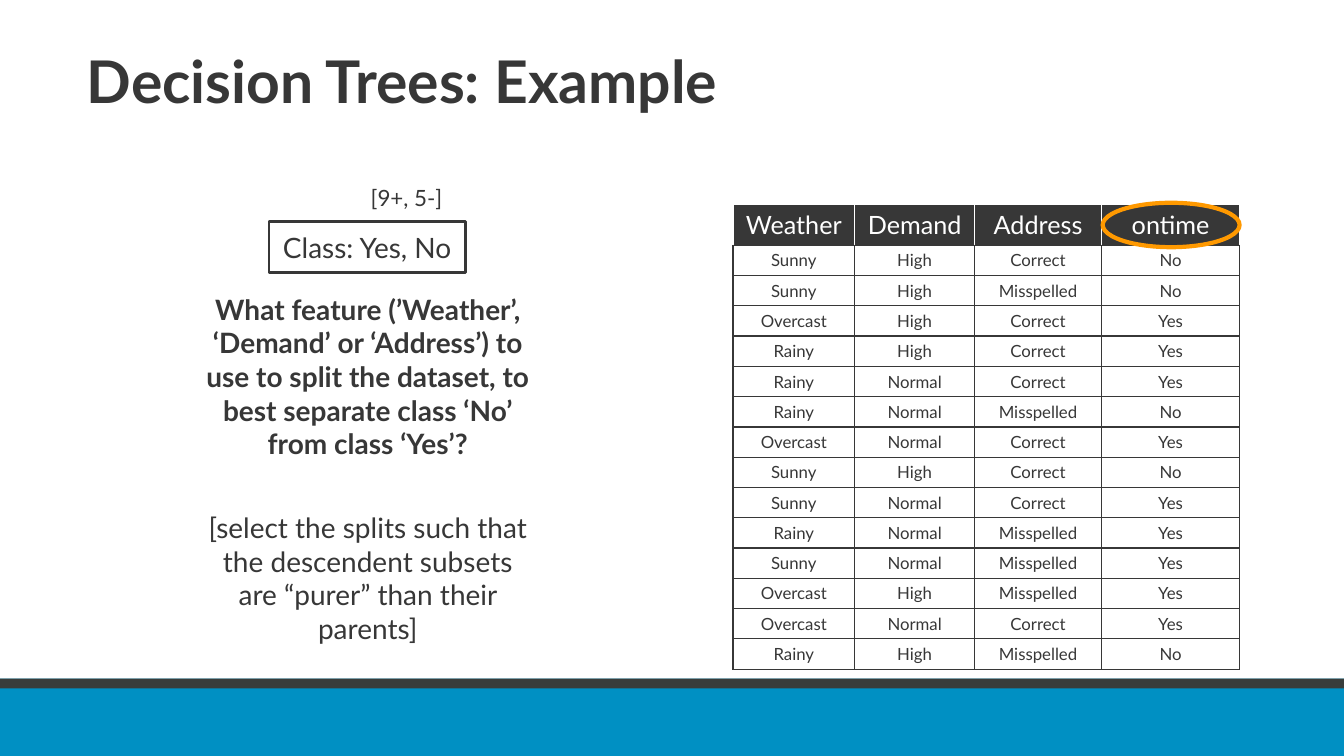
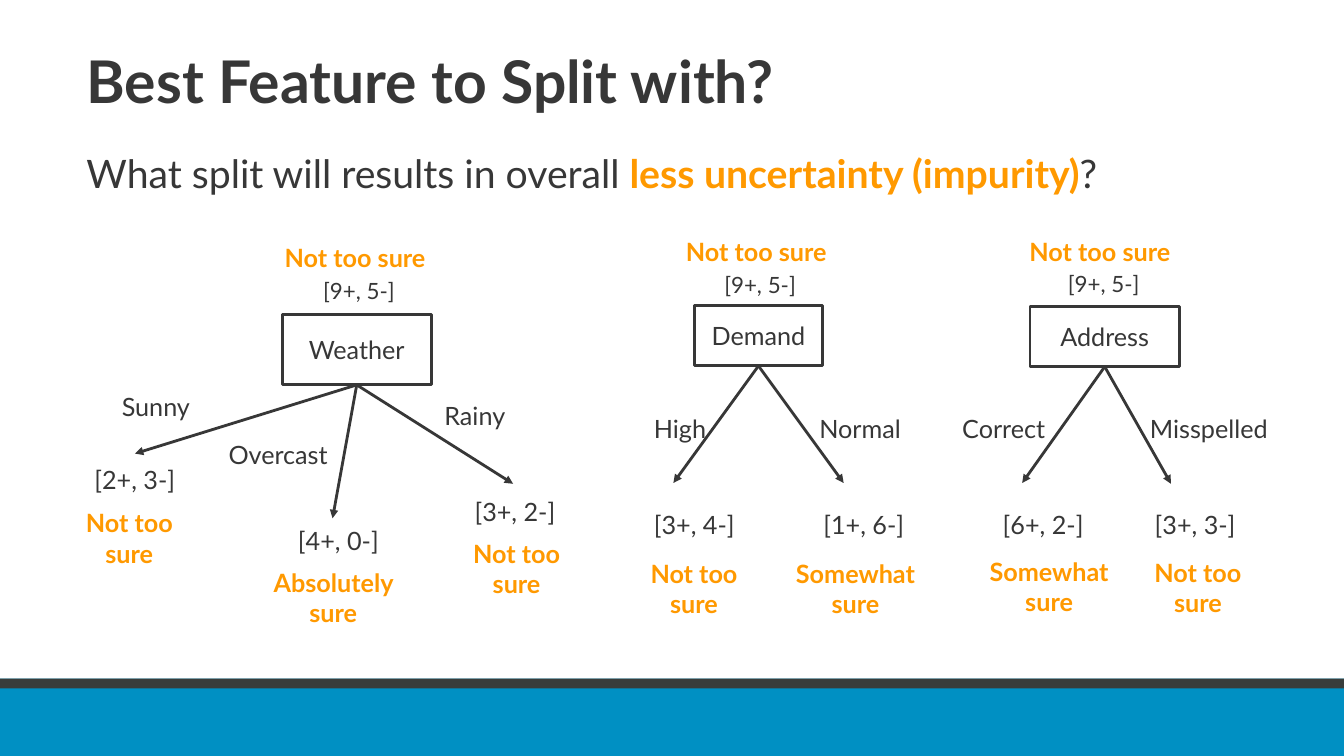
from dataclasses import dataclass

from lxml.etree import SubElement
from pptx import Presentation
from pptx.dml.color import RGBColor
from pptx.enum.shapes import MSO_CONNECTOR as Wire, MSO_SHAPE as Form
from pptx.enum.text import MSO_ANCHOR as Anchor, PP_ALIGN as Align
from pptx.oxml import parse_xml
from pptx.oxml.ns import nsdecls, qn
from pptx.util import Cm, Pt

INK, WHITE, GOLD, BLUE, SLATE = "373737", "FFFFFF", "FF9900", "0090C3", "383D3B"
PLAIN = {"name": "Lato", "size": Pt(18), "bold": False}
BOLD = {**PLAIN, "bold": True}
HEAD = {**BOLD, "size": Pt(42)}
LEAD = {**PLAIN, "size": Pt(28)}
BODY = {**PLAIN, "size": Pt(20)}
NOTE = {**PLAIN, "size": Pt(16)}
CELL = {**PLAIN, "size": Pt(12)}
WIDE, TALL = 33.87, 19.05
ROOT = "[9+, 5-]"
MOODS = {"Not too sure": 3.48, "Somewhat sure": 3.86, "Absolutely sure": 3.94}
COLS = {"Weather": 3.07, "Demand": 3.02, "Address": 3.2, "ontime": 3.48}
ROWS = """Sunny High Correct No
Sunny High Misspelled No
Overcast High Correct Yes
Rainy High Correct Yes
Rainy Normal Correct Yes
Rainy Normal Misspelled No
Overcast Normal Correct Yes
Sunny High Correct No
Sunny Normal Correct Yes
Rainy Normal Misspelled Yes
Sunny Normal Misspelled Yes
Overcast High Misspelled Yes
Overcast Normal Correct Yes
Rainy High Misspelled No"""


@dataclass
class Leaf:
    """One branch of a tree: its label, arrow tip, count and mood."""
    label: str
    at: tuple
    tip: tuple
    count: str
    spot: tuple
    mood: str
    under: tuple


TREES = [
    ("Weather", (7.11, 7.92, 3.76, 1.78), (6.6, 5.99), [
        Leaf("Sunny", (2.82, 9.73, 2.39), (3.4, 11.43), "[2+, 3-]", (2.13, 11.58),
             "Not too sure", (1.52, 12.67)),
        Leaf("Overcast", (5.51, 10.95, 3.23), (8.38, 13.06), "[4+, 0-]", (7.26, 13.11),
             "Absolutely sure", (6.43, 14.17)),
        Leaf("Rainy", (10.95, 9.96, 2.39), (12.93, 12.19), "[3+, 2-]", (11.71, 12.37),
             "Not too sure", (11.28, 13.44))]),
    ("Demand", (17.5, 7.7, 3.23, 1.52), (16.71, 5.84), [
        Leaf("High", (16.23, 10.29, 2.21), (16.97, 12.17), "[3+, 4-]", (16.23, 12.7),
             "Not too sure", (15.75, 13.94)),
        Leaf("Normal", (20.4, 10.29, 2.74), (21.26, 12.17), "[1+, 6-]", (20.5, 12.7),
             "Somewhat sure", (19.63, 13.94))]),
    ("Address", (25.96, 7.72, 3.76, 1.52), (25.37, 5.82), [
        Leaf("Correct", (24, 10.29, 2.72), (25.76, 12.17), "[6+, 2-]", (25.02, 12.7),
             "Somewhat sure", (24.51, 13.89)),
        Leaf("Misspelled", (28.73, 10.29, 3.63), (29.51, 12.19), "[3+, 3-]", (28.85, 12.7),
             "Not too sure", (28.45, 13.92))]),
]


def paint(color, tint):
    """Set a colour from a hex string."""
    color.rgb = RGBColor.from_string(tint)


def write(para, text, look=PLAIN, tint=INK, align=Align.LEFT):
    """Add a formatted run to a paragraph."""
    para.alignment = align
    run = para.add_run()
    run.text = text
    for key, value in look.items():
        setattr(run.font, key, value)
    paint(run.font.color, tint)


def label(slide, spot, text, look=PLAIN, tint=INK, align=Align.CENTER):
    """Add a wrapped text box and return its frame."""
    frame = slide.shapes.add_textbox(*map(Cm, spot)).text_frame
    frame.word_wrap = True
    write(frame.paragraphs[0], text, look, tint, align)
    return frame


def shape(slide, form, spot, fill=None, line=None, width=2):
    """Add a flat shape with an optional fill and outline."""
    item = slide.shapes.add_shape(form, *map(Cm, spot))
    item.shadow.inherit = False
    for part, tint in ((item.fill, fill), (item.line.fill, line)):
        if tint:
            part.solid()
            paint(part.fore_color, tint)
        else:
            part.background()
    if line:
        item.line.width = Pt(width)
    return item


def box(slide, spot, text, look=PLAIN):
    """Add an outlined box with centred text."""
    frame = shape(slide, Form.RECTANGLE, spot, line=INK).text_frame
    frame.vertical_anchor = Anchor.MIDDLE
    write(frame.paragraphs[0], text, look, align=Align.CENTER)


def arrow(slide, start, end):
    """Add a straight arrow."""
    line = slide.shapes.add_connector(Wire.STRAIGHT, *map(Cm, start + end))
    line.line.width = Pt(2)
    paint(line.line.color, INK)
    props = line.element.spPr
    SubElement(props.find(qn("a:ln")), qn("a:tailEnd"), type="triangle")
    SubElement(props, qn("a:effectLst"))


def edge(cell, sides):
    """Draw cell borders from a dict of side and colour."""
    props = cell._tc.get_or_add_tcPr()
    for place, (side, tint) in enumerate(sides.items()):
        props.insert(place, parse_xml(
            f'<a:ln{side} {nsdecls("a")} w="12700"><a:solidFill>'
            f'<a:srgbClr val="{tint}"/></a:solidFill></a:ln{side}>'))


def grid(slide):
    """Add the table of deliveries."""
    data = [list(COLS)] + [row.split() for row in ROWS.splitlines()]
    spot = 18.47, 5.16, sum(COLS.values()), 11.68
    table = slide.shapes.add_table(len(data), len(COLS), *map(Cm, spot)).table
    table.first_row = table.horz_banding = False
    for col, width in zip(table.columns, COLS.values()):
        col.width = Cm(width)
    for r, row in enumerate(data):
        top = r == 0
        table.rows[r].height = Cm(1.02 if top else 0.76)
        rim = WHITE if top else INK
        for c, text in enumerate(row):
            cell = table.cell(r, c)
            if top:
                cell.fill.solid()
                paint(cell.fill.fore_color, INK)
                cell.vertical_anchor = Anchor.MIDDLE
            else:
                cell.fill.background()
            edge(cell, {"L": rim, "R": rim, "T": rim, "B": INK})
            write(cell.text_frame.paragraphs[0], text, PLAIN if top else CELL,
                  WHITE if top else INK, Align.CENTER)


def bands(slide, layout):
    """Draw the footer bands and move them to the layout."""
    for high, tint in ((1.95, BLUE), (0.25, SLATE)):
        band = shape(slide, Form.RECTANGLE, (0, 17.1, WIDE, high), tint)
        layout.shapes.element.append(band.element)


def page(deck, text):
    """Add a slide with a formatted title."""
    slide = deck.slides.add_slide(deck.slide_layouts[5])
    title = slide.shapes.title
    spot = {"left": 1.93, "top": 0.81, "width": 30.86, "height": 2.74}
    for key, value in spot.items():
        setattr(title, key, Cm(value))
    title.text_frame.vertical_anchor = Anchor.MIDDLE
    para = title.text_frame.paragraphs[0]
    para.line_spacing = 0.8
    write(para, text, HEAD)
    return slide


def tree(slide, name, spot, mark, leaves):
    """Draw a one-level split with its branches."""
    x, y, wide, high = spot
    left, top = mark
    box(slide, spot, name)
    label(slide, (left, top, 4.7, 1.02), "Not too sure", BOLD, GOLD)
    label(slide, (left + 0.25, top + 0.86, 4.39, 0.94), ROOT, NOTE)
    for leaf in leaves:
        arrow(slide, (x + wide / 2, y + high), leaf.tip)
        label(slide, (*leaf.at, 1.02), leaf.label, align=Align.LEFT)
        label(slide, (*leaf.spot, 2.72, 1.02), leaf.count, align=Align.LEFT)
        label(slide, (*leaf.under, MOODS[leaf.mood], 1.8), leaf.mood, BOLD, GOLD)


def example(deck):
    """Build the slide with the data set."""
    slide = page(deck, "Decision Trees: Example")
    bands(slide, deck.slide_layouts[5])
    grid(slide)
    box(slide, (6.78, 5.59, 4.95, 1.27), "Class: Yes, No", BODY)
    frame = label(slide, (4.8, 7.24, 8.94, 9.65),
                  "What feature (’Weather’, ‘Demand’ or ‘Address’) to use to split the "
                  "dataset, to best separate class ‘No’ from class ‘Yes’?",
                  {**BODY, "bold": True})
    para = frame.add_paragraph()
    para.space_before = Pt(36)
    write(para, "[select the splits such that the descendent subsets are “purer” "
          "than their parents]", BODY, align=Align.CENTER)
    shape(slide, Form.OVAL, (27.79, 5.11, 3.45, 1.12), line=GOLD, width=3)
    label(slide, (8.05, 4.51, 4.39, 0.94), ROOT, NOTE)


def splits(deck):
    """Build the slide that compares three splits."""
    slide = page(deck, "Best Feature to Split with?")
    para = label(slide, (1.93, 3.63, 30.86, 1.5), "What split will results in overall ",
                 LEAD, align=Align.LEFT).paragraphs[0]
    write(para, "less uncertainty (impurity)", {**LEAD, "bold": True}, GOLD)
    write(para, "?", LEAD)
    for item in TREES:
        tree(slide, *item)


def main():
    """Build and save the deck."""
    deck = Presentation()
    deck.slide_width, deck.slide_height = Cm(WIDE), Cm(TALL)
    example(deck)
    splits(deck)
    deck.save("out.pptx")


if __name__ == "__main__":
    main()
